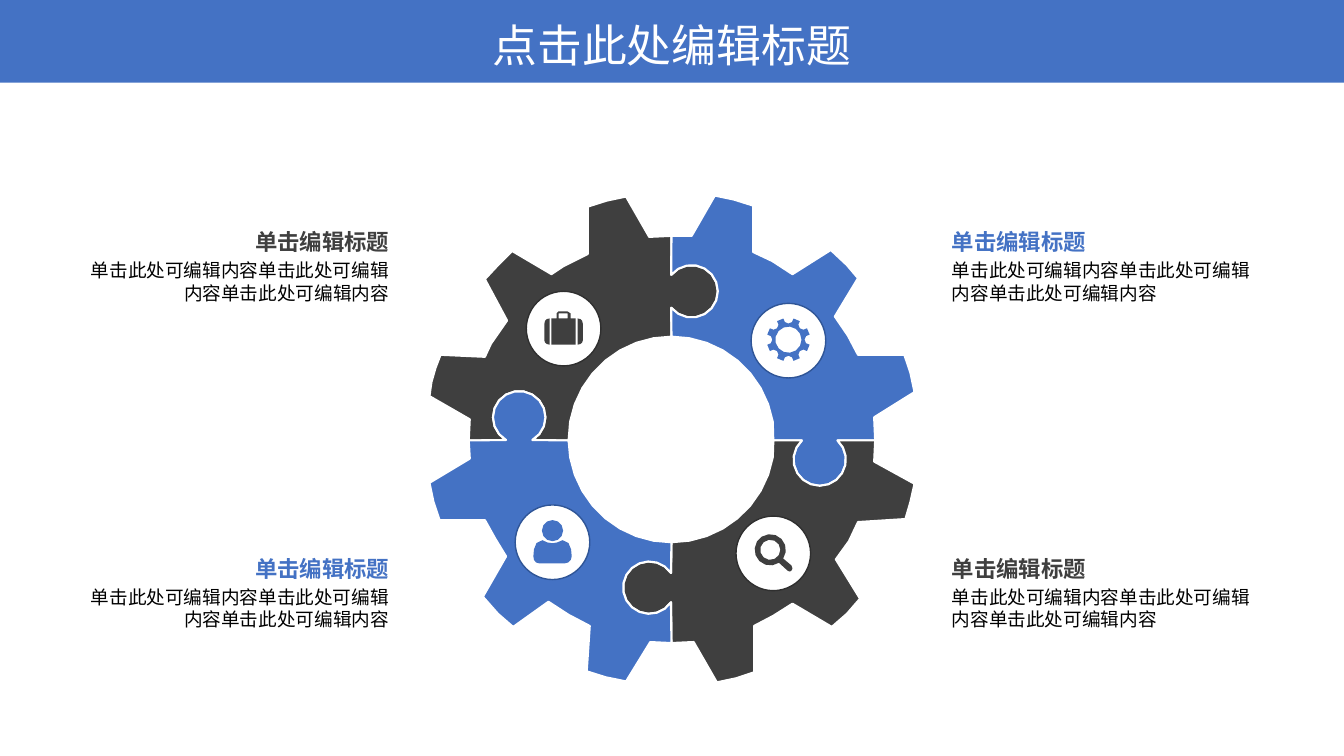
from dataclasses import dataclass
from math import cos, radians, sin, sqrt

from lxml import etree
from pptx import Presentation
from pptx import util as u
from pptx.dml.color import RGBColor
from pptx.enum import shapes, text
from pptx.oxml import ns

FONT = "Noto Sans CJK SC"
BLUE, DARK, WHITE, BLACK = "4472C4", "3F3F3F", "FFFFFF", "000000"
BLUE_RIM, DARK_RIM = "2F5597", "2F2F2F"
HEADING = "单击编辑标题"
BODY = "单击此处可编辑内容" * 3
HUB = (6.66, 4.36)
HUB_RADIUS, KNOB_RADIUS, BADGE = 1.02, 0.26, 0.74
CURVE_STEPS = 3
Points = list[tuple[float, float]]


@dataclass
class Seam:
    """Joint between two quarters, from the hub out; the knob opens towards gap."""
    inner: tuple[float, float]
    outer: tuple[float, float]
    knob: tuple[float, float]
    gap: float
    half: float

    def points(self) -> Points:
        knob = arc(self.knob, KNOB_RADIUS, self.gap - self.half, self.gap + self.half - 360)
        return [self.inner, *knob, self.outer]


@dataclass
class Quarter:
    color: str
    start: str
    end: str
    angle: float
    teeth: Points


@dataclass
class Badge:
    left: float
    top: float
    rim: str
    color: str
    icon: list[list[Points]]


@dataclass
class Caption:
    left: float
    top: float
    color: str
    align: text.PP_ALIGN


def rgb(color: str) -> RGBColor:
    return RGBColor.from_string(color)


def arc(center: tuple[float, float], radius: float, start: float, end: float) -> Points:
    """Sample an arc, with wider steps for smaller radii."""
    steps = max(4, round(abs(end - start) * sqrt(radius) / 10))
    angles = [radians(start + (end - start) * i / steps) for i in range(steps + 1)]
    return [(center[0] + radius * cos(a), center[1] + radius * sin(a)) for a in angles]


def path(*parts: tuple) -> Points:
    """Turn points (2 numbers) and cubic curves (6 numbers) into an outline."""
    pts: Points = []
    for part in parts:
        if len(part) == 2:
            pts.append(part)
            continue
        x0, y0 = pts[-1]
        x1, y1, x2, y2, x3, y3 = part
        for t in (i / CURVE_STEPS for i in range(1, CURVE_STEPS + 1)):
            a, b, c, d = (1 - t) ** 3, 3 * t * (1 - t) ** 2, 3 * t * t * (1 - t), t ** 3
            pts.append((a * x0 + b * x1 + c * x2 + d * x3, a * y0 + b * y1 + c * y2 + d * y3))
    return pts


def paint(sp, fill: str, line: str | None = None, width: float = 1) -> None:
    sp.shadow.inherit = False
    sp.fill.solid()
    sp.fill.fore_color.rgb = rgb(fill)
    if line:
        sp.line.color.rgb = rgb(line)
        sp.line.width = u.Pt(width)
    else:
        sp.line.fill.background()


def add_outline(tree, contours: list[Points], fill: str, line: str | None = None) -> None:
    scaled = [[(u.Inches(x), u.Inches(y)) for x, y in c] for c in contours]
    builder = tree.build_freeform(*scaled[0][0], scale=1.0)
    for i, contour in enumerate(scaled):
        if i:
            builder.move_to(*contour[0])
        builder.add_line_segments(contour[1:], close=True)
    paint(builder.convert_to_shape(), fill, line, 1.5)


def add_textbox(tree, left: float, top: float, width: float, height: float):
    tf = tree.add_textbox(*map(u.Inches, (left, top, width, height))).text_frame
    tf.word_wrap = True
    tf.auto_size = text.MSO_AUTO_SIZE.SHAPE_TO_FIT_TEXT
    return tf


def write(p, words: str, size: float, color: str, align, line: float, bold: bool = False) -> None:
    p.alignment = align
    p.line_spacing = u.Pt(line)
    r = p.add_run()
    r.text = words
    r.font.size, r.font.bold, r.font.name = u.Pt(size), bold, FONT
    r.font.color.rgb = rgb(color)
    etree.SubElement(r.font._element, ns.qn("a:ea")).set("typeface", FONT)


def add_badge(tree, badge: Badge) -> None:
    group = tree.add_group_shape().shapes
    disc = group.add_shape(shapes.MSO_SHAPE.OVAL, *map(u.Inches, (badge.left, badge.top, BADGE, BADGE)))
    paint(disc, WHITE, badge.rim)
    for contours in badge.icon:
        add_outline(group, contours, badge.color)


def add_caption(tree, cap: Caption) -> None:
    tf = add_textbox(tree, cap.left, cap.top, 3.07, 0.76)
    tf.margin_left = tf.margin_right = tf.margin_top = tf.margin_bottom = 0
    write(tf.paragraphs[0], HEADING, 16, cap.color, cap.align, 20.5, True)
    p = tf.add_paragraph()
    p.space_before = u.Pt(2.7)
    write(p, BODY, 13.3, BLACK, cap.align, 16)


SEAMS = {
    "top": Seam((6.66, 3.34), (6.66, 2.34), (6.86, 2.89), 180, 39),
    "right": Seam((7.67, 4.37), (8.68, 4.37), (8.13, 4.56), -90, 43),
    "bottom": Seam((6.66, 5.38), (6.66, 6.38), (6.44, 5.83), 0, 34),
    "left": Seam((5.64, 4.37), (4.65, 4.37), (5.15, 4.14), 90, 30),
}
# Quarters run clockwise; angle is where each one starts on the hub
QUARTERS = [
    Quarter(DARK, "left", "top", 180, [
        (4.66, 4.16), (4.26, 3.93), (4.28, 3.79), (4.32, 3.65), (4.37, 3.52),
        (4.81, 3.54), (4.87, 3.41), (5.03, 3.18), (4.81, 2.77), (4.94, 2.63), (5.08, 2.49),
        (5.47, 2.72), (5.59, 2.64), (5.83, 2.52), (5.83, 2.05), (6.02, 1.99), (6.21, 1.95),
        (6.44, 2.35)]),
    Quarter(BLUE, "top", "right", 270, [
        (6.86, 2.34), (7.09, 1.94), (7.28, 1.98), (7.47, 2.04), (7.47, 2.5), (7.66, 2.59),
        (7.86, 2.72), (8.24, 2.48), (8.4, 2.63), (8.51, 2.76), (8.28, 3.14), (8.41, 3.33),
        (8.51, 3.52), (8.97, 3.52), (9.03, 3.7), (9.07, 3.89), (8.67, 4.14)]),
    Quarter(DARK, "right", "bottom", 0, [
        (8.67, 4.58), (9.07, 4.8), (9.03, 4.98), (8.98, 5.15), (8.51, 5.18), (8.42, 5.37),
        (8.29, 5.55), (8.53, 5.94), (8.4, 6.09), (8.25, 6.22), (7.86, 5.99), (7.67, 6.11),
        (7.48, 6.21), (7.48, 6.67), (7.3, 6.73), (7.11, 6.77), (6.88, 6.37)]),
    Quarter(BLUE, "bottom", "left", 90, [
        (6.45, 6.37), (6.21, 6.76), (6.01, 6.72), (5.82, 6.66), (5.85, 6.21), (5.64, 6.1),
        (5.44, 5.97), (5.09, 6.22), (4.94, 6.09), (4.79, 5.92), (5.02, 5.52), (4.91, 5.34),
        (4.81, 5.16), (4.36, 5.16), (4.3, 4.98), (4.26, 4.79), (4.66, 4.55)]),
]

# Icons: each is a list of outlines with their holes
COG, LENS = (7.82, 3.37), (7.64, 5.455)
PERSON = [[
    path((5.6, 5.59), (5.35, 5.59), (5.31, 5.59, 5.29, 5.56, 5.29, 5.52),
         (5.29, 5.46, 5.3, 5.36, 5.38, 5.36), (5.39, 5.36, 5.42, 5.39, 5.48, 5.39),
         (5.53, 5.39, 5.57, 5.36, 5.58, 5.36), (5.66, 5.36, 5.67, 5.46, 5.67, 5.52),
         (5.67, 5.56, 5.64, 5.59, 5.6, 5.59)),
    arc((5.48, 5.265), 0.105, 0, 360)]]
MAGNIFIER = [[
    path(*arc(LENS, 0.155, 56, 394), (7.85, 5.61), (7.86, 5.64),
         (7.86, 5.66, 7.84, 5.67, 7.83, 5.67), (7.81, 5.66)),
    arc(LENS, 0.1, 0, 360)]]
NOTCHES = [pt for a in range(0, 360, 45)
           for pt in arc((COG[0] + 0.21 * cos(radians(a)), COG[1] + 0.21 * sin(radians(a))),
                         0.05, a - 90, a - 270)]
GEAR = [[NOTCHES, arc(COG, 0.13, 0, 360)]]
CASE = [
    [path((5.45, 3.16), (5.42, 3.16, 5.4, 3.18, 5.4, 3.21), (5.4, 3.38),
          (5.4, 3.4, 5.42, 3.42, 5.45, 3.42))],
    [[(5.66, 3.16), (5.66, 3.11), (5.63, 3.09), (5.54, 3.09), (5.52, 3.11), (5.52, 3.16),
      (5.47, 3.16), (5.47, 3.42), (5.71, 3.42), (5.71, 3.16)],
     [(5.63, 3.16), (5.54, 3.16), (5.54, 3.11), (5.63, 3.11)]],
    [path((5.73, 3.16), (5.73, 3.42), (5.76, 3.42, 5.78, 3.4, 5.78, 3.38), (5.78, 3.21),
          (5.78, 3.18, 5.76, 3.16, 5.73, 3.16))],
]
BADGES = [
    Badge(5.11, 5.01, BLUE_RIM, BLUE, PERSON),
    Badge(7.3, 5.12, DARK_RIM, DARK, MAGNIFIER),
    Badge(7.45, 3.01, BLUE_RIM, BLUE, GEAR),
    Badge(5.22, 2.89, DARK_RIM, DARK, CASE),
]
CAPTIONS = [
    Caption(9.44, 2.25, BLUE, text.PP_ALIGN.LEFT),
    Caption(0.79, 2.25, DARK, text.PP_ALIGN.RIGHT),
    Caption(9.44, 5.49, DARK, text.PP_ALIGN.LEFT),
    Caption(0.79, 5.49, BLUE, text.PP_ALIGN.RIGHT),
]


def main() -> None:
    prs = Presentation()
    prs.slide_width, prs.slide_height = u.Inches(13.33), u.Inches(7.5)
    s = prs.slides.add_slide(prs.slide_layouts[6])
    tree = s.shapes
    # Title band
    band = tree.add_shape(shapes.MSO_SHAPE.RECTANGLE, 0, 0, prs.slide_width, u.Inches(0.82))
    paint(band, BLUE)
    title = add_textbox(tree, 4.66, 0.09, 4.01, 0.64)
    write(title.paragraphs[0], "点击此处编辑标题", 32, WHITE, text.PP_ALIGN.CENTER, 41)
    # Puzzle gear
    for q in QUARTERS:
        hub = arc(HUB, HUB_RADIUS, q.angle + 90, q.angle)
        outline = SEAMS[q.start].points() + q.teeth + SEAMS[q.end].points()[::-1] + hub[1:-1]
        add_outline(tree, [outline], q.color, WHITE)
    # Badges and captions
    for badge in BADGES:
        add_badge(tree, badge)
    for cap in CAPTIONS:
        add_caption(tree, cap)
    prs.save("out.pptx")


if __name__ == "__main__":
    main()
